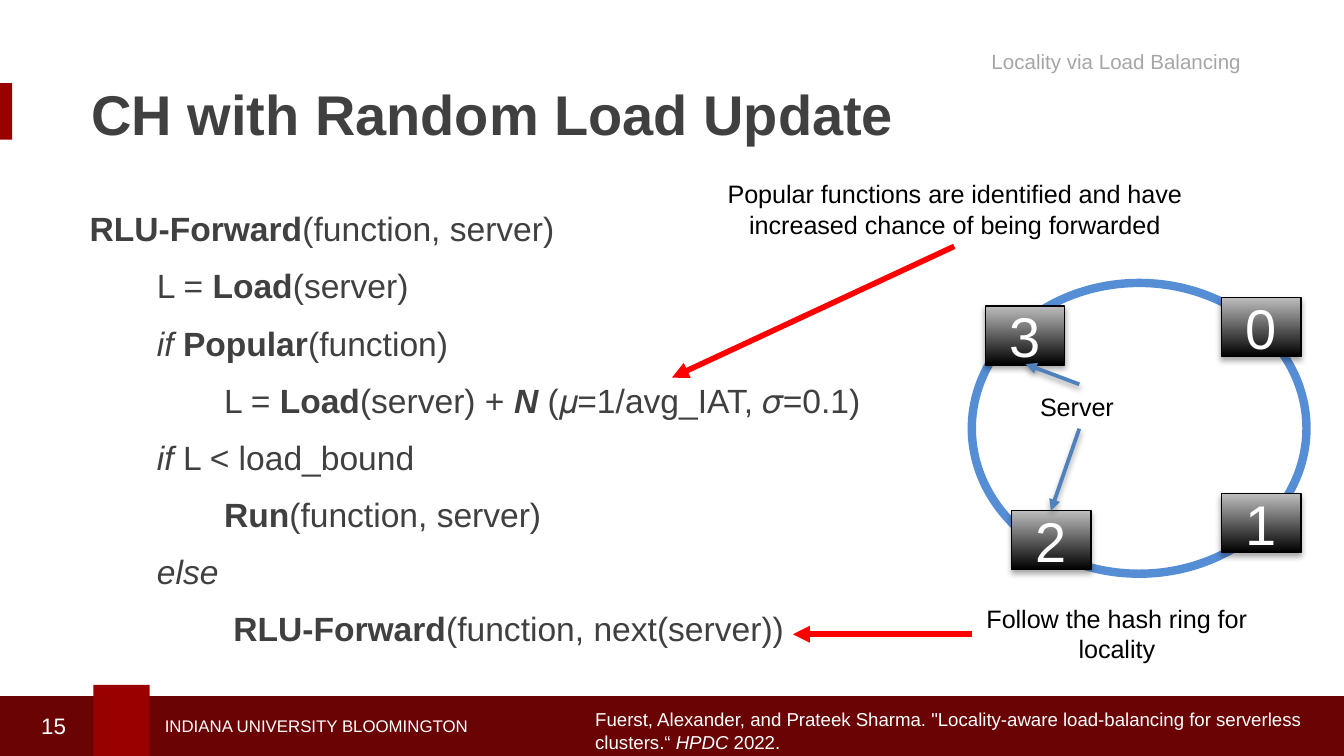
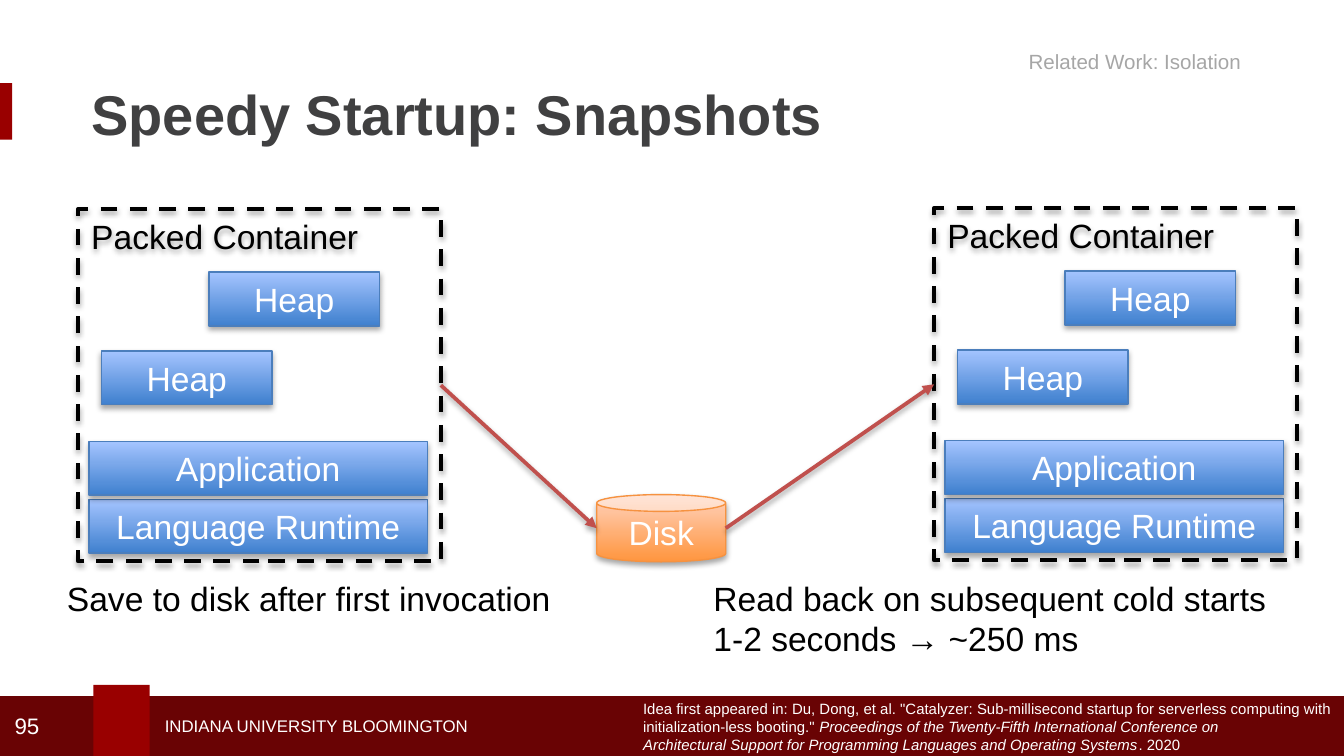
"""Builds two lecture slides: load-balanced function forwarding and snapshot startup."""
from lxml import etree
from pptx import Presentation
from pptx import util as u
from pptx.dml.color import RGBColor
from pptx.enum import dml, shapes, text
from pptx.oxml import parse_xml
from pptx.oxml.ns import nsdecls, qn

Pt = u.Pt
LEFT, CENTER, RIGHT = text.PP_ALIGN.LEFT, text.PP_ALIGN.CENTER, text.PP_ALIGN.RIGHT
TOP, MIDDLE = text.MSO_ANCHOR.TOP, text.MSO_ANCHOR.MIDDLE
RECTANGLE = shapes.MSO_SHAPE.RECTANGLE

FONT = "Arial"
BLACK = RGBColor(0x00, 0x00, 0x00)
WHITE = RGBColor(0xFF, 0xFF, 0xFF)
CRIMSON = RGBColor(0x99, 0x00, 0x00)
DARK_CRIMSON = RGBColor(0x69, 0x03, 0x04)
CHARCOAL = RGBColor(0x40, 0x40, 0x41)
GRAY = RGBColor(0xA6, 0xA6, 0xA6)
SILVER = RGBColor(0xBD, 0xBD, 0xBD)
RED = RGBColor(0xFF, 0x00, 0x00)
BRICK = RGBColor(0xC0, 0x50, 0x4D)
RING_BLUE = RGBColor(0x55, 0x8E, 0xD5)
ARROW_BLUE = RGBColor(0x4F, 0x81, 0xBD)
EDGE_BLUE = RGBColor(0x4B, 0x7E, 0xBC)
DEEP_BLUE = RGBColor(0x3F, 0x80, 0xCE)
PALE_BLUE = RGBColor(0xA4, 0xC4, 0xFF)
ORANGE = RGBColor(0xFF, 0x95, 0x3E)
PEACH = RGBColor(0xFF, 0xD2, 0xBD)
EDGE_ORANGE = RGBColor(0xF6, 0x92, 0x40)

SHADOW = (
    f'<a:outerShdw {nsdecls("a")} blurRad="40000" dist="23000" dir="5400000" rotWithShape="0">'
    '<a:srgbClr val="000000"><a:alpha val="35000"/></a:srgbClr></a:outerShdw>'
)


def write(frame, paragraphs, size, color, align=LEFT, anchor=TOP, wrap=True):
    """Fill a text frame; a paragraph is a string or a list of (words, style) runs."""
    frame.word_wrap = wrap
    frame.auto_size = text.MSO_AUTO_SIZE.NONE
    frame.vertical_anchor = anchor
    for index, runs in enumerate(paragraphs):
        paragraph = frame.add_paragraph() if index else frame.paragraphs[0]
        paragraph.alignment = align
        for words, style in [(runs, "")] if isinstance(runs, str) else runs:
            run = paragraph.add_run()
            run.text = words
            run.font.name = FONT
            run.font.size = Pt(size)
            run.font.color.rgb = color
            run.font.bold = "b" in style
            run.font.italic = "i" in style


def add_box(slide, preset, place, fill=None, line=None, width=0.75, shadow=False):
    """Add a preset shape; fill is None, one colour or a (bottom, top) gradient."""
    shape = slide.shapes.add_shape(preset, *map(Pt, place))
    shape.shadow.inherit = False
    if shadow:
        shape._element.spPr.find(qn("a:effectLst")).append(parse_xml(SHADOW))
    if fill is None:
        shape.fill.background()
    elif isinstance(fill, RGBColor):
        shape.fill.solid()
        shape.fill.fore_color.rgb = fill
    else:
        shape.fill.gradient()
        shape.fill.gradient_angle = 90
        for stop, color in zip(shape.fill.gradient_stops, fill):
            stop.color.rgb = color
    if line is None:
        shape.line.fill.background()
    else:
        shape.line.color.rgb = line
        shape.line.width = Pt(width)
    return shape


presentation = Presentation()
presentation.slide_width = Pt(720)
presentation.slide_height = Pt(405)

slides = []
for title, section, number, number_align in [
    ("CH with Random Load Update", "Locality via Load Balancing", "15", RIGHT),
    ("Speedy Startup: Snapshots", "Related Work: Isolation", "95", LEFT),
]:
    slide = presentation.slides.add_slide(presentation.slide_layouts[5])
    slides.append(slide)
    for place, color in [
        ((0, 44.6, 6.5, 30.2), CRIMSON),
        ((-2, 373, 726.5, 36), DARK_CRIMSON),
        ((50, 367, 30.2, 42), CRIMSON),
    ]:
        add_box(slide, RECTANGLE, place, color)
    heading = slide.shapes.title
    heading.left, heading.top, heading.width, heading.height = map(Pt, (41.8, 33.1, 630, 54.7))
    write(heading.text_frame, [[(title, "b")]], 30, CHARCOAL, LEFT, MIDDLE)
    for words, place, size, color, align, anchor in [
        ("INDIANA UNIVERSITY BLOOMINGTON", (81.2, 380, 284.4, 18), 9, WHITE, LEFT, MIDDLE),
        (section, (380.4, 22.8, 291.6, 20.2), 11, GRAY, RIGHT, TOP),
        (number, (0.7, 378, 41.8, 21.6), 12, WHITE, number_align, MIDDLE),
    ]:
        label = slide.shapes.add_textbox(*map(Pt, place))
        write(label.text_frame, [words], size, color, align, anchor)

forward_slide, snapshot_slide = slides

algorithm = [
    (0, [("RLU-Forward", "b"), ("(function, server)", "")]),
    (36, [("L = ", ""), ("Load", "b"), ("(server)", "")]),
    (36, [("if ", "i"), ("Popular", "b"), ("(function)", "")]),
    (72, [("L = ", ""), ("Load", "b"), ("(server) + ", ""), ("N ", "bi"),
          ("(𝜇=1/avg_IAT, 𝜎=0.1)", "")]),
    (36, [("if", "i"), (" L < load_bound", "")]),
    (72, [("Run", "b"), ("(function, server)", "")]),
    (36, [("else", "i")]),
    (77, [("RLU-Forward", "b"), ("(function, next(server))", "")]),
]
code_box = forward_slide.shapes.add_textbox(Pt(41), Pt(108), Pt(429), Pt(252))
write(code_box.text_frame, [runs for indent, runs in algorithm], 18, CHARCOAL)
for paragraph, (indent, runs) in zip(code_box.text_frame.paragraphs, algorithm):
    paragraph._p.get_or_add_pPr().set("marL", str(Pt(indent)))
    paragraph.space_after = Pt(9)

add_box(forward_slide, shapes.MSO_SHAPE.OVAL, (520.6, 151.6, 179.3, 155.8),
        line=RING_BLUE, width=4.5)
for server, left, top in [("3", 527.8, 164), ("0", 654.4, 159.5),
                          ("1", 654.4, 264.5), ("2", 542, 273.6)]:
    shape = add_box(forward_slide, RECTANGLE, (left, top, 42.5, 31.5),
                    (BLACK, SILVER), BLACK, shadow=True)
    write(shape.text_frame, [server], 30, WHITE, CENTER, MIDDLE)

container_parts = [
    ("Language Runtime", 5.8, 155.5, 181.4),
    ("Application", 5.8, 124.4, 181.4),
    ("Heap", 12.6, 76, 91.4),
    ("Heap", 70.2, 33.7, 91.4),
]
for left, top in [(41.8, 112.1), (500.4, 111.6)]:
    container = add_box(snapshot_slide, RECTANGLE, (left, top, 194.4, 188.6),
                        line=BLACK, width=2.25, shadow=True)
    container.line.dash_style = dml.MSO_LINE.DASH
    write(container.text_frame, ["Packed Container"], 18, BLACK)
    for words, across, down, width in container_parts:
        shape = add_box(snapshot_slide, RECTANGLE, (left + across, top + down, width, 28.8),
                        (DEEP_BLUE, PALE_BLUE), EDGE_BLUE, shadow=True)
        write(shape.text_frame, [words], 18, WHITE, CENTER, MIDDLE)

disk = add_box(snapshot_slide, shapes.MSO_SHAPE.CAN, (319.7, 265, 69.1, 36),
               (ORANGE, PEACH), EDGE_ORANGE, shadow=True)
write(disk.text_frame, ["Disk"], 18, WHITE, CENTER, MIDDLE)

forward_source = [
    [("Fuerst, Alexander, and Prateek Sharma. \"Locality-aware load-balancing for "
      "serverless clusters.“ ", ""), ("HPDC", "i"), (" 2022.", "")],
]
snapshot_source = [
    "Idea first appeared in: Du, Dong, et al. \"Catalyzer: Sub-millisecond startup "
    "for serverless computing with",
    [("initialization-less booting.\" ", ""),
     ("Proceedings of the Twenty-Fifth International Conference on", "i")],
    [("Architectural Support for Programming Languages and Operating Systems", "i"),
     (". 2020", "")],
]
for slide, place, paragraphs, size, color, align, wrap in [
    (forward_slide, (380.9, 92.2, 261.4, 40.3),
     ["Popular functions are identified and have increased chance of being forwarded"],
     13.5, BLACK, CENTER, True),
    (forward_slide, (499.7, 319.7, 197.3, 40.3),
     ["Follow the hash ring for locality"], 13.5, BLACK, CENTER, True),
    (forward_slide, (550.1, 205.9, 55.4, 23.8), ["Server"], 13.5, BLACK, LEFT, False),
    (forward_slide, (311.8, 375.8, 417.6, 31.7), forward_source, 10, WHITE, LEFT, True),
    (snapshot_slide, (337.4, 371.5, 390.2, 36), snapshot_source, 8, WHITE, LEFT, False),
    (snapshot_slide, (28.8, 306, 275.8, 28.8),
     ["Save to disk after first invocation"], 18, BLACK, LEFT, False),
    (snapshot_slide, (375.1, 306, 313.2, 51.1),
     ["Read back on subsequent cold starts", "1-2 seconds → ~250 ms"],
     18, BLACK, LEFT, False),
]:
    box = slide.shapes.add_textbox(*map(Pt, place))
    write(box.text_frame, paragraphs, size, color, align, wrap=wrap)

for slide, ends, color, width, shadow in [
    (forward_slide, (511.2, 132, 360, 202.3), RED, 3, False),
    (forward_slide, (520.6, 339.8, 424.8, 339.8), RED, 3, False),
    (forward_slide, (578.2, 205.9, 549.4, 195.1), ARROW_BLUE, 2, True),
    (forward_slide, (578.2, 229.7, 563, 273.6), ARROW_BLUE, 2, True),
    (snapshot_slide, (236.2, 206.4, 319.7, 283), BRICK, 2, True),
    (snapshot_slide, (388.8, 283, 500.4, 205.9), BRICK, 2, True),
]:
    arrow = slide.shapes.add_connector(shapes.MSO_CONNECTOR.STRAIGHT, *map(Pt, ends))
    arrow.line.color.rgb = color
    arrow.line.width = Pt(width)
    etree.SubElement(arrow.line._get_or_add_ln(), qn("a:tailEnd"), type="triangle")
    effects = etree.SubElement(arrow._element.spPr, qn("a:effectLst"))
    if shadow:
        effects.append(parse_xml(SHADOW))

presentation.save("out.pptx")
